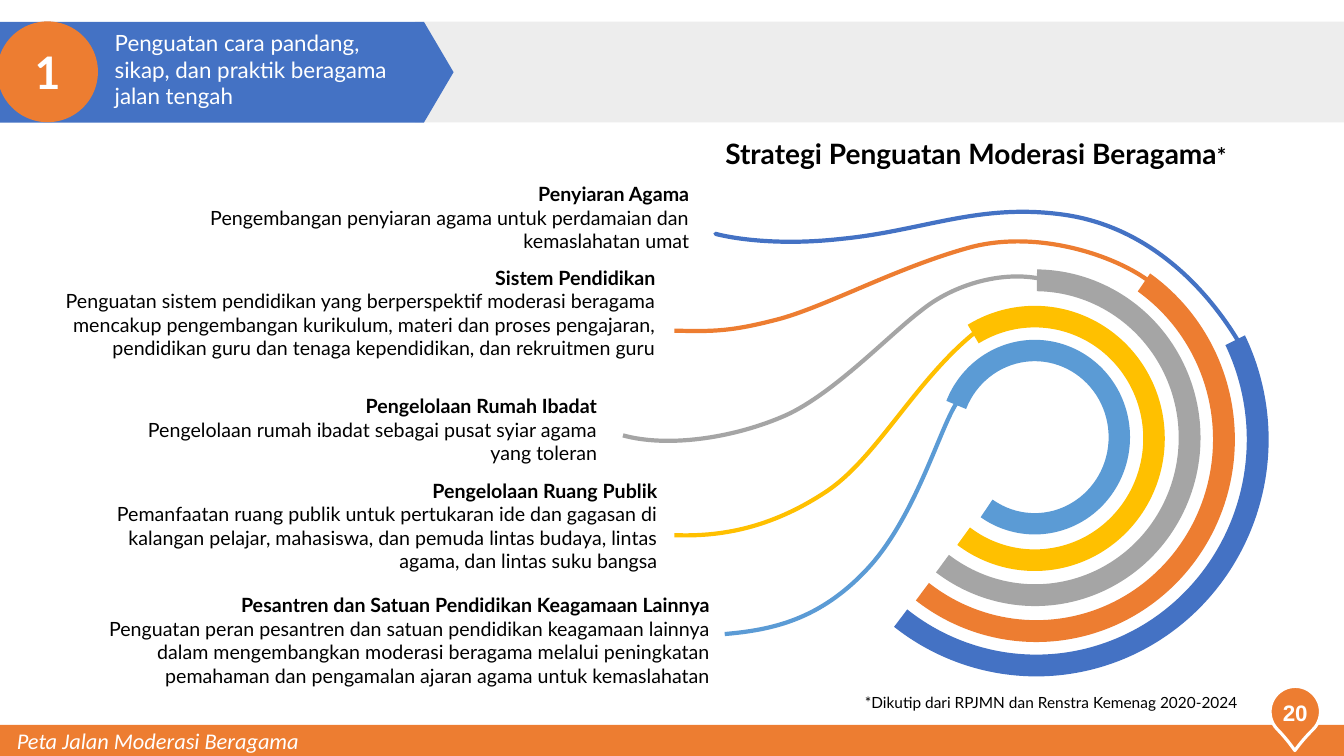
"""Builds the slide on strategies for strengthening religious moderation."""
from lxml import etree
from pptx import Presentation
from pptx.dml.color import RGBColor
from pptx.enum.shapes import MSO_SHAPE
from pptx.enum.text import MSO_ANCHOR, MSO_AUTO_SIZE, PP_ALIGN
from pptx.oxml.ns import qn
from pptx.util import Pt

RECTANGLE, OVAL, TEARDROP = MSO_SHAPE.RECTANGLE, MSO_SHAPE.OVAL, MSO_SHAPE.TEAR
PENTAGON, BLOCK_ARC = MSO_SHAPE.PENTAGON, MSO_SHAPE.BLOCK_ARC
LEFT, CENTER, RIGHT = PP_ALIGN.LEFT, PP_ALIGN.CENTER, PP_ALIGN.RIGHT
MIDDLE = MSO_ANCHOR.MIDDLE
GROW, FIXED = MSO_AUTO_SIZE.SHAPE_TO_FIT_TEXT, MSO_AUTO_SIZE.NONE

WHITE = RGBColor(0xFF, 0xFF, 0xFF)
BLACK = RGBColor(0x00, 0x00, 0x00)
PALE = RGBColor(0xED, 0xED, 0xED)
BLUE = RGBColor(0x44, 0x72, 0xC4)
ORANGE = RGBColor(0xED, 0x7D, 0x31)
GREY = RGBColor(0xA5, 0xA5, 0xA5)
YELLOW = RGBColor(0xFF, 0xC0, 0x00)
SKY = RGBColor(0x5B, 0x9B, 0xD5)

deck = Presentation()
deck.slide_width, deck.slide_height = Pt(960), Pt(540)
page = deck.slides.add_slide(deck.slide_layouts[6])


def add_block(kind, left, top, width, height, color):
    block = page.shapes.add_shape(kind, Pt(left), Pt(top), Pt(width), Pt(height))
    block.shadow.inherit = False
    block.fill.solid()
    block.fill.fore_color.rgb = color
    block.line.fill.background()
    return block


def add_text(left, top, width, height, lines, size, color=BLACK, align=LEFT, font="Lato"):
    box = page.shapes.add_textbox(Pt(left), Pt(top), Pt(width), Pt(height))
    frame = box.text_frame
    frame.word_wrap = True
    frame.auto_size = GROW
    frame.text = "\n".join(lines)
    for para in frame.paragraphs:
        para.alignment = align
        for span in para.runs:
            span.font.name, span.font.size = font, Pt(size)
            span.font.color.rgb = color
    return frame


add_block(RECTANGLE, 0, 517.7, 960, 22.3, ORANGE)
footer = add_text(5, 515.5, 253.4, 26.6, ["Peta Jalan Moderasi Beragama"], 16, WHITE, font="Calibri")
footer.paragraphs[0].runs[0].font.italic = True

pin = add_block(TEARDROP, 907.2, 490.3, 36, 36, ORANGE)
pin.adjustments[0] = 1.094
pin.rotation = 135.6
pin.line.color.rgb = WHITE
pin.line.width = Pt(2.25)

add_block(RECTANGLE, 296.6, 15.4, 677.5, 72, PALE)
number = add_text(907.2, 496.1, 36, 26.6, ["20"], 16, WHITE, CENTER, "Arial")
number.paragraphs[0].runs[0].font.bold = True

arcs = [
    (BLUE, 740.2, 314, 338.4, 331.9, 146.08, 22.33, 0.047),
    (ORANGE, 740.2, 313.9, 289.4, 283.7, 128.66, 22.08, 0.055),
    (GREY, 739.4, 312.7, 240.5, 236.2, 108.38, 21.82, 0.066),
    (YELLOW, 739.1, 313.2, 189.4, 185.8, 89.68, 21.62, 0.083),
    (SKY, 739.1, 312.3, 139, 136.1, 67.39, 20.43, 0.112),
]
for color, center_x, center_y, width, height, start, end, thickness in arcs:
    arc = add_block(BLOCK_ARC, center_x - width / 2, center_y - height / 2, width, height, color)
    arc.rotation = 90
    for index, value in enumerate((start, end, thickness)):
        arc.adjustments[index] = value

curves = [
    (SKY, [(683.3, 288), (671.8, 304.6), (653.8, 370.1), (619.2, 406.8),
           (585.4, 442.8), (551.5, 450), (517.7, 452.9)]),
    (YELLOW, [(699.1, 235.4), (655.2, 269.3), (627.1, 326.2), (591.1, 350.6),
              (554.4, 375.1), (519.1, 383.8), (481.7, 382.3)]),
    (GREY, [(744.5, 199.4), (716.4, 193), (681.1, 203), (658.1, 221.8), (634.3, 239.8),
            (593.3, 283.7), (558, 298.1), (522, 313.2), (476.6, 319.7), (445, 311)]),
    (ORANGE, [(824.4, 203.8), (802.8, 185), (745.2, 163.4), (694.1, 176.4), (643, 190.1),
              (593.3, 217.4), (558, 227.5), (522.7, 236.9), (509.8, 236.9), (481.7, 236.2)]),
    (BLUE, [(885.6, 245.5), (861.8, 205.2), (820.1, 162), (760.3, 153.4), (699.8, 144.7),
            (659.5, 164.9), (601.2, 170.6), (543.6, 177.1), (508.3, 166.3), (511.2, 167)]),
]
for color, points in curves:
    knots = [(Pt(x), Pt(y)) for x, y in points[::3]]
    builder = page.shapes.build_freeform(*knots[0])
    builder.add_line_segments(knots[1:], close=False)
    curve = builder.convert_to_shape()
    for index, segment in enumerate(list(curve.element.iter(qn("a:lnTo")))):
        segment.tag = qn("a:cubicBezTo")
        for place, (x, y) in enumerate(points[3 * index + 1:3 * index + 3]):
            control = etree.Element(qn("a:pt"), x=str(Pt(x) - curve.left), y=str(Pt(y) - curve.top))
            segment.insert(place, control)
    curve.shadow.inherit = False
    curve.fill.background()
    curve.line.color.rgb = color
    curve.line.width = Pt(3)

strategies = [
    (105.7, 126.6, 393.8, 58.3, "Penyiaran Agama",
     "Pengembangan penyiaran agama untuk perdamaian dan kemaslahatan umat"),
    (32.6, 186.2, 442.8, 92.2, "Sistem Pendidikan",
     "Penguatan sistem pendidikan yang berperspektif moderasi beragama mencakup pengembangan "
     "kurikulum, materi dan proses pengajaran, pendidikan guru dan tenaga kependidikan, "
     "dan rekruitmen guru"),
    (98.2, 277.9, 335.5, 58.3, "Pengelolaan Rumah Ibadat",
     "Pengelolaan rumah ibadat sebagai pusat syiar agama yang toleran"),
    (71.4, 338.4, 405.4, 74.9, "Pengelolaan Ruang Publik",
     "Pemanfaatan ruang publik untuk pertukaran ide dan gagasan di kalangan pelajar, "
     "mahasiswa, dan pemuda lintas budaya, lintas agama, dan lintas suku bangsa"),
    (34.2, 420.1, 480.2, 74.9, "Pesantren dan Satuan Pendidikan Keagamaan Lainnya",
     "Penguatan peran pesantren dan satuan pendidikan keagamaan lainnya dalam mengembangkan "
     "moderasi beragama melalui peningkatan pemahaman dan pengamalan ajaran agama "
     "untuk kemaslahatan"),
]
for left, top, width, height, heading, detail in strategies:
    strategy = add_text(left, top, width, height, [heading, detail], 14, align=RIGHT)
    strategy.paragraphs[0].runs[0].font.bold = True

source_note = add_text(600.5, 491.8, 290.9, 20.9,
                       ["*Dikutip dari RPJMN dan Renstra Kemenag 2020-2024"], 11, align=RIGHT)
source_note.word_wrap = False

title = add_text(511, 88.6, 424.8, 44.6, ["Strategi Penguatan Moderasi Beragama"], 20)
title.auto_size = FIXED
title.vertical_anchor = MIDDLE
title_para = title.paragraphs[0]
title_para.line_spacing = 0.9
asterisk = title_para.add_run()
asterisk.text = "*"
asterisk.font.name, asterisk.font.size = "Lato", Pt(16)
asterisk.font.color.rgb = BLACK
for span in title_para.runs:
    span.font.bold = True

banner = add_block(PENTAGON, 0, 15.6, 324, 72, BLUE)
banner.adjustments[0] = 0.294
add_text(74.9, 17, 218.9, 65.5,
         ["Penguatan cara pandang, sikap, dan praktik beragama jalan tengah"], 16, WHITE)

badge = add_block(OVAL, -2, 15.3, 72, 72, ORANGE)
badge.text_frame.text = "1"
badge.text_frame.vertical_anchor = MIDDLE
badge_para = badge.text_frame.paragraphs[0]
badge_para.alignment = CENTER
badge_font = badge_para.runs[0].font
badge_font.name, badge_font.size, badge_font.bold = "Lato", Pt(32), True
badge_font.color.rgb = WHITE

deck.save("out.pptx")
